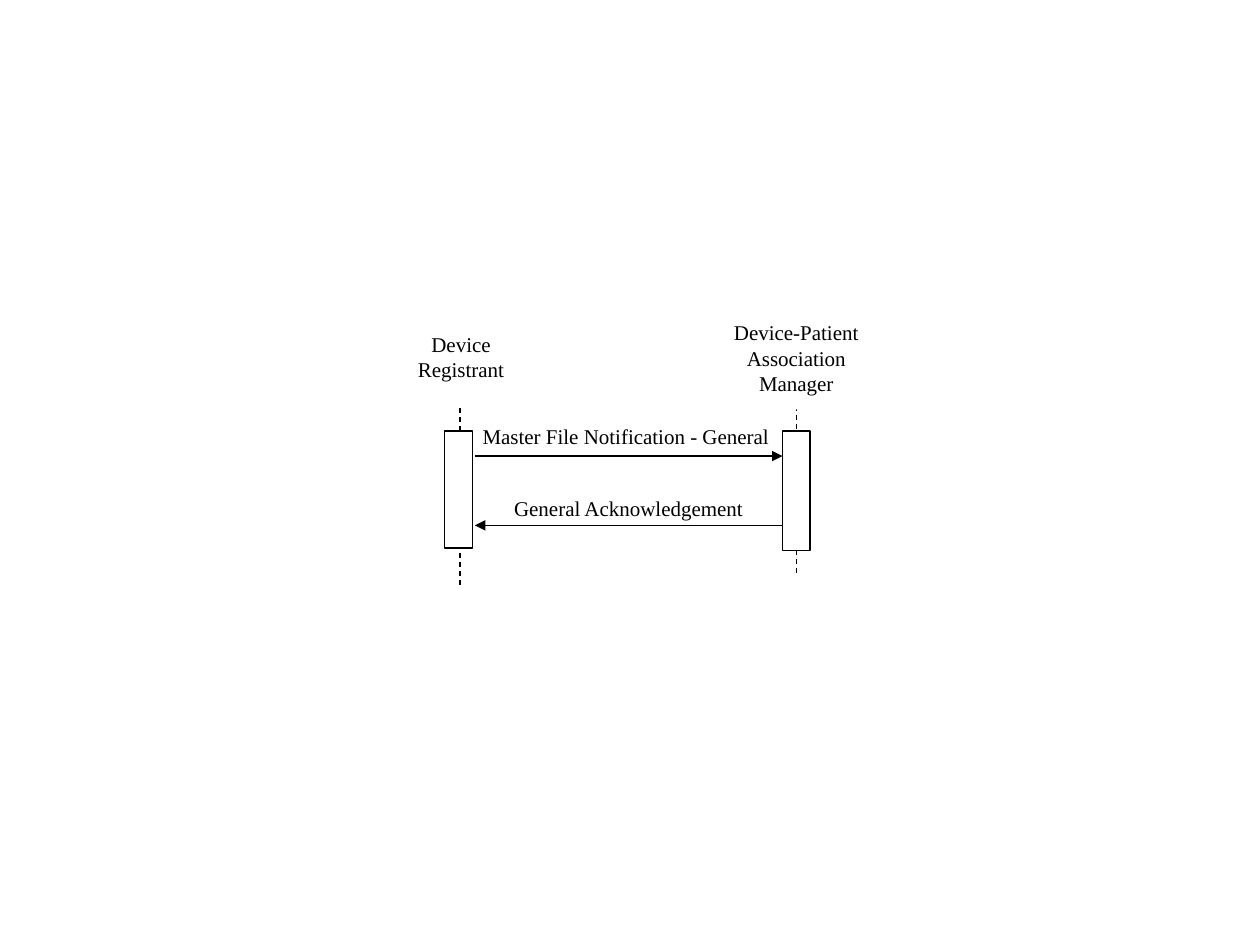
import pptx
import pptx.util
import pptx.dml.color
import pptx.enum.dml
import pptx.enum.shapes
import pptx.enum.text
import pptx.oxml.ns
import lxml.etree

Inches, Pt = pptx.util.Inches, pptx.util.Pt


def rgb(value):
    return pptx.dml.color.RGBColor.from_string(value)


class Diagram:
    font, size, weight = "Times New Roman", 12, 0.75
    ink, paper = "000000", "FFFFFF"

    def __init__(self, slide):
        self.slide = slide

    def set_text(self, shape, text, align):
        tf = shape.text_frame
        tf.word_wrap = True
        tf.vertical_anchor = pptx.enum.text.MSO_ANCHOR.TOP
        tf.text = text
        p = tf.paragraphs[0]
        p.alignment = align
        p.space_before = Pt(6)
        for r in p.runs:
            r.font.name = self.font
            r.font.size = Pt(self.size)
            r.font.color.rgb = rgb(self.ink)

    def box(self, x, y, w, h):
        s = self.slide.shapes.add_shape(
            pptx.enum.shapes.MSO_SHAPE.RECTANGLE,
            Inches(x), Inches(y), Inches(w), Inches(h))
        s.shadow.inherit = False
        s.fill.solid()
        s.fill.fore_color.rgb = rgb(self.paper)
        return s

    def actor(self, text, x, y, w, h):
        s = self.box(x, y, w, h)
        s.line.fill.background()
        self.set_text(s, text, pptx.enum.text.PP_ALIGN.CENTER)

    def activation(self, x, y, w, h):
        s = self.box(x, y, w, h)
        s.line.color.rgb = rgb(self.ink)
        s.line.width = Pt(self.weight)

    def label(self, text, x, y, w, h):
        s = self.slide.shapes.add_textbox(Inches(x), Inches(y), Inches(w), Inches(h))
        tf = s.text_frame
        tf.margin_left = tf.margin_right = tf.margin_top = tf.margin_bottom = 0
        self.set_text(s, text, pptx.enum.text.PP_ALIGN.LEFT)

    def line(self, x1, y1, x2, y2):
        s = self.slide.shapes.add_connector(
            pptx.enum.shapes.MSO_CONNECTOR.STRAIGHT,
            Inches(x1), Inches(y1), Inches(x2), Inches(y2))
        s.line.color.rgb = rgb(self.ink)
        s.line.width = Pt(self.weight)
        lxml.etree.SubElement(s._element.spPr, pptx.oxml.ns.qn("a:effectLst"))
        return s

    def lifeline(self, x, top, bottom):
        s = self.line(x, top, x, bottom)
        s.line.dash_style = pptx.enum.dml.MSO_LINE.DASH

    def arrow(self, x1, x2, y):
        s = self.line(x1, y, x2, y)
        ln = s._element.spPr.find(pptx.oxml.ns.qn("a:ln"))
        tail = lxml.etree.SubElement(ln, pptx.oxml.ns.qn("a:tailEnd"))
        tail.set("type", "triangle")


prs = pptx.Presentation()
prs.slide_width, prs.slide_height = Inches(10), Inches(7.5)
d = Diagram(prs.slides.add_slide(prs.slide_layouts[6]))

# Lifelines
d.lifeline(3.65, 3.24, 4.64)
d.lifeline(6.32, 3.22, 4.56)

# Actors
d.actor("Device Registrant", 3.16, 2.58, 1, 0.58)
d.actor("Device-Patient Association Manager", 5.66, 2.49, 1.32, 0.76)

# Message labels
d.label("Master File Notification - General", 3.83, 3.36, 2.47, 0.36)
d.label("General Acknowledgement", 4.08, 3.93, 1.89, 0.35)

# Activation bars
d.activation(3.53, 3.42, 0.22, 0.93)
d.activation(6.21, 3.42, 0.22, 0.95)

# Messages between the bars
left, right = 3.77, 6.21
d.arrow(left, right, 3.62)
d.arrow(right, left, 4.17)

prs.save("out.pptx")
